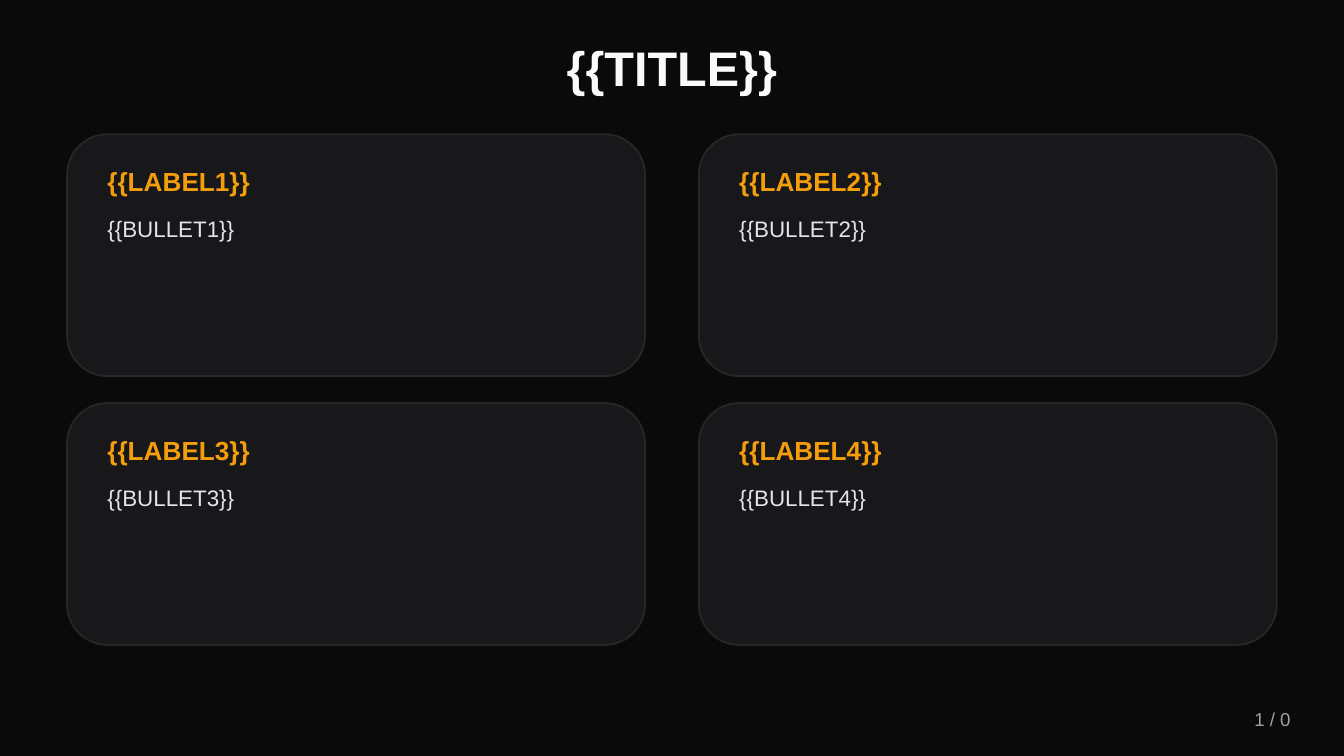
from lxml.etree import SubElement
from pptx import Presentation
from pptx.dml.color import RGBColor
from pptx.enum.shapes import MSO_SHAPE
from pptx.enum.text import MSO_ANCHOR, PP_ALIGN
from pptx.oxml.ns import qn
from pptx.util import Cm, Pt

COLORS = {
    "background": "0A0A0B",
    "title": "FAFAFA",
    "card": "1A1A1D",
    "border": "27272A",
    "label": "F59E0B",
    "body": "E4E4E7",
    "page": "A1A1AA",
}


def color(name):
    return RGBColor.from_string(COLORS[name])


def add_text(slide, box, text, size, color_name, bold=False,
             align=PP_ALIGN.LEFT, anchor=MSO_ANCHOR.MIDDLE):
    """Place one paragraph in a box of (left, top, width, height) in cm."""
    shape = slide.shapes.add_textbox(*map(Cm, box))
    frame = shape.text_frame
    frame.word_wrap = True
    frame.vertical_anchor = anchor
    paragraph = frame.paragraphs[0]
    paragraph.text = text
    paragraph.alignment = align
    font = paragraph.font
    font.name = "Arial"
    font.size = Pt(size)
    font.bold = bold
    font.color.rgb = color(color_name)


def set_opacity(fill_owner, percent):
    fill_color = fill_owner.fill._xPr.find(qn("a:solidFill"))[0]
    SubElement(fill_color, qn("a:alpha"), val=str(percent * 1000))


def add_card(slide, box, label, bullet):
    left, top, width, height = box
    card = slide.shapes.add_shape(MSO_SHAPE.ROUNDED_RECTANGLE, *map(Cm, box))
    card.shadow.inherit = False
    card.fill.solid()
    card.fill.fore_color.rgb = color("card")
    set_opacity(card, 90)
    card.line.color.rgb = color("border")
    card.line.width = Pt(1)

    inset, label_top, label_height = 0.51, 0.38, 1.02
    text_left, text_width = left + inset, width - 2 * inset
    body_top = label_top + label_height
    add_text(slide, (text_left, top + label_top, text_width, label_height),
             label, 14, "label", bold=True)
    add_text(slide, (text_left, top + body_top, text_width, 2.54),
             bullet, 12, "body", anchor=MSO_ANCHOR.TOP)


def add_card_grid(slide, box, columns=2, rows=2, gap_x=1.02, gap_y=0.51):
    left, top, width, height = box
    card_width = (width - (columns - 1) * gap_x) / columns
    card_height = (height - (rows - 1) * gap_y) / rows
    for index in range(columns * rows):
        row, column = divmod(index, columns)
        card_box = (left + column * (card_width + gap_x),
                    top + row * (card_height + gap_y),
                    card_width, card_height)
        number = index + 1
        add_card(slide, card_box, f"{{{{LABEL{number}}}}}", f"{{{{BULLET{number}}}}}")


def main():
    presentation = Presentation()
    presentation.slide_width = Cm(25.4)
    presentation.slide_height = Cm(14.29)
    slide = presentation.slides.add_slide(presentation.slide_layouts[6])
    slide.background.fill.solid()
    slide.background.fill.fore_color.rgb = color("background")

    add_text(slide, (1.27, 0.51, 22.86, 1.52), "{{TITLE}}", 26, "title",
             bold=True, align=PP_ALIGN.CENTER)
    add_card_grid(slide, (1.27, 2.54, 22.86, 9.65))
    add_text(slide, (21.59, 13.21, 3.05, 0.76), "1 / 0", 10, "page",
             align=PP_ALIGN.RIGHT)
    presentation.save("out.pptx")


if __name__ == "__main__":
    main()
